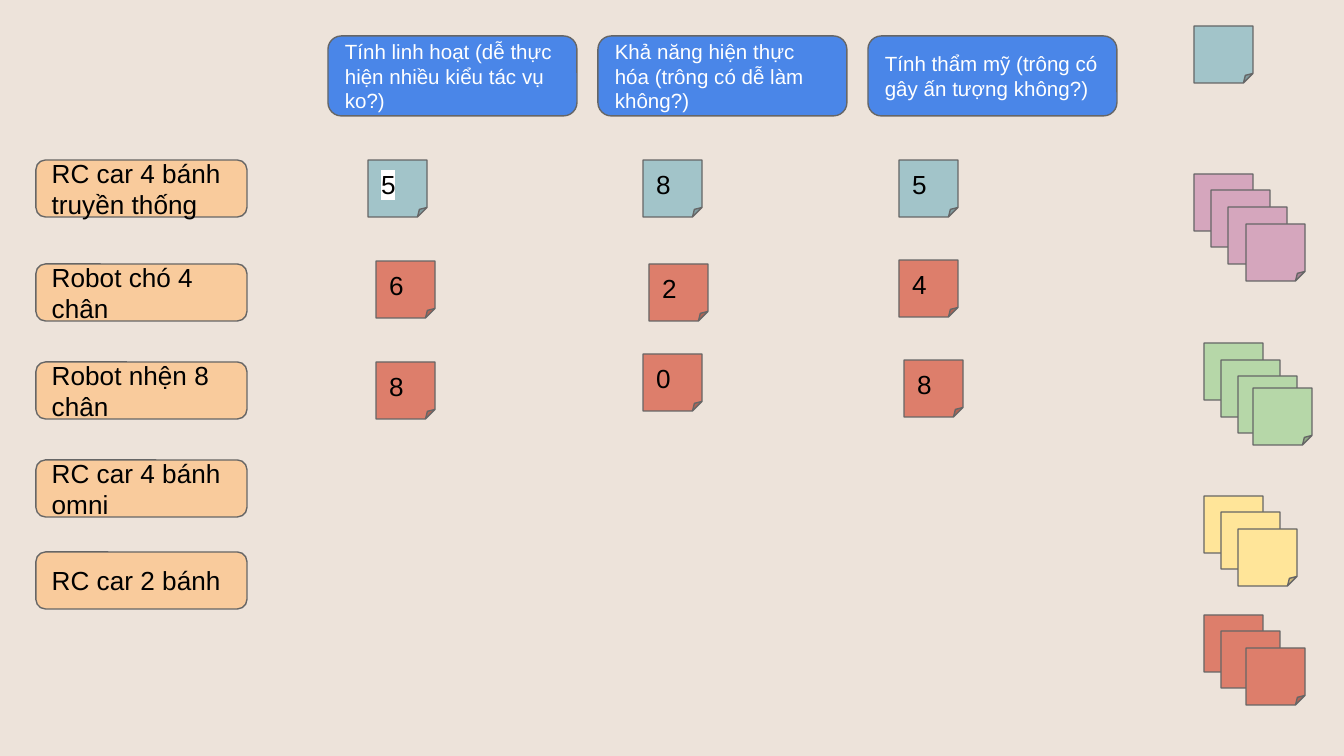
from dataclasses import dataclass

from lxml import etree
from pptx import Presentation
from pptx.dml.color import RGBColor
from pptx.enum.shapes import MSO_SHAPE
from pptx.enum.text import MSO_ANCHOR, PP_ALIGN
from pptx.oxml.ns import qn
from pptx.shapes.autoshape import Shape
from pptx.slide import Slide
from pptx.util import Emu, Pt

ROUNDED = MSO_SHAPE.ROUNDED_RECTANGLE
FOLDED = MSO_SHAPE.FOLDED_CORNER
MIDDLE = MSO_ANCHOR.MIDDLE
LEFT = PP_ALIGN.LEFT

BACKGROUND = RGBColor(0xED, 0xE3, 0xDA)
ORANGE = RGBColor(0xF9, 0xCB, 0x9C)
BLUE = RGBColor(0x4A, 0x86, 0xE8)
TEAL = RGBColor(0xA2, 0xC4, 0xC9)
PINK = RGBColor(0xD5, 0xA6, 0xBD)
GREEN = RGBColor(0xB6, 0xD7, 0xA8)
YELLOW = RGBColor(0xFF, 0xE5, 0x99)
RED = RGBColor(0xDD, 0x7E, 0x6B)
GRAY = RGBColor(0x66, 0x66, 0x66)
BLACK = RGBColor(0x00, 0x00, 0x00)
WHITE = RGBColor(0xFF, 0xFF, 0xFF)

SLIDE_WIDTH, SLIDE_HEIGHT = 1344, 756
EMU_PER_PX = 9144000 / SLIDE_WIDTH
FONT = "Arial"
INSET = 13

OPTION_LEFT, OPTION_WIDTH, OPTION_HEIGHT = 36, 211, 57
CRITERION_LEFT, CRITERION_STEP = 328, 270
CRITERION_TOP, CRITERION_WIDTH, CRITERION_HEIGHT = 36, 249, 80
NOTE_WIDTH, NOTE_HEIGHT = 59, 57


@dataclass(frozen=True)
class Option:
    name: str
    top: int


@dataclass(frozen=True)
class Score:
    value: str
    left: int
    top: int
    color: RGBColor
    highlight: RGBColor | None = None


@dataclass(frozen=True)
class Stack:
    color: RGBColor
    positions: tuple[tuple[int, int], ...]


OPTIONS = (
    Option("RC car 4 bánh truyền thống", 160),
    Option("Robot chó 4 chân", 264),
    Option("Robot nhện 8 chân", 362),
    Option("RC car 4 bánh omni", 460),
    Option("RC car 2 bánh", 552),
)
CRITERIA = (
    "Tính linh hoạt (dễ thực hiện nhiều kiểu tác vụ ko?)",
    "Khả năng hiện thực hóa (trông có dễ làm không?)",
    "Tính thẩm mỹ (trông có gây ấn tượng không?)",
)
SCORES = (
    Score("5", 368, 160, TEAL, WHITE),
    Score("8", 643, 160, TEAL),
    Score("5", 899, 160, TEAL),
    Score("6", 376, 261, RED),
    Score("2", 649, 264, RED),
    Score("4", 899, 260, RED),
    Score("8", 376, 362, RED),
    Score("0", 643, 354, RED),
    Score("8", 904, 360, RED),
)
STACKS = (
    Stack(TEAL, ((1194, 26),)),
    Stack(PINK, ((1194, 174), (1211, 190), (1228, 207), (1246, 224))),
    Stack(GREEN, ((1204, 343), (1221, 360), (1238, 376), (1253, 388))),
    Stack(YELLOW, ((1204, 496), (1221, 512), (1238, 529))),
    Stack(RED, ((1204, 615), (1221, 631), (1246, 648))),
)


def px(length: int) -> Emu:
    return Emu(round(length * EMU_PER_PX))


def add_box(page: Slide, kind: MSO_SHAPE, left: int, top: int,
            width: int, height: int, color: RGBColor) -> Shape:
    box = page.shapes.add_shape(kind, px(left), px(top), px(width), px(height))
    box.shadow.inherit = False
    box.fill.solid()
    box.fill.fore_color.rgb = color
    box.line.color.rgb = GRAY
    box.line.width = Pt(0.75)
    return box


def add_note(page: Slide, left: int, top: int, color: RGBColor) -> Shape:
    return add_box(page, FOLDED, left, top, NOTE_WIDTH, NOTE_HEIGHT, color)


def write_text(box: Shape, text: str, *, size: int = 14, color: RGBColor = BLACK,
               highlight: RGBColor | None = None) -> None:
    frame = box.text_frame
    frame.word_wrap = True
    frame.vertical_anchor = MIDDLE
    frame.margin_left = frame.margin_right = px(INSET)
    frame.margin_top = frame.margin_bottom = px(INSET)
    para = frame.paragraphs[0]
    para.alignment = LEFT
    span = para.add_run()
    span.text = text
    span.font.size = Pt(size)
    span.font.color.rgb = color
    if highlight is not None:
        mark = etree.SubElement(span.font._element, qn("a:highlight"))
        etree.SubElement(mark, qn("a:srgbClr"), val=str(highlight))
    span.font.name = FONT


def main() -> None:
    deck = Presentation()
    deck.slide_width, deck.slide_height = px(SLIDE_WIDTH), px(SLIDE_HEIGHT)
    page = deck.slides.add_slide(deck.slide_layouts.get_by_name("Blank"))
    page.background.fill.solid()
    page.background.fill.fore_color.rgb = BACKGROUND

    for option in OPTIONS:
        box = add_box(page, ROUNDED, OPTION_LEFT, option.top,
                      OPTION_WIDTH, OPTION_HEIGHT, ORANGE)
        write_text(box, option.name)

    for column, criterion in enumerate(CRITERIA):
        box = add_box(page, ROUNDED, CRITERION_LEFT + column * CRITERION_STEP,
                      CRITERION_TOP, CRITERION_WIDTH, CRITERION_HEIGHT, BLUE)
        write_text(box, criterion, size=11, color=WHITE)

    for score in SCORES:
        note = add_note(page, score.left, score.top, score.color)
        write_text(note, score.value, highlight=score.highlight)

    for stack in STACKS:
        for left, top in stack.positions:
            add_note(page, left, top, stack.color)

    deck.save("out.pptx")


if __name__ == "__main__":
    main()
